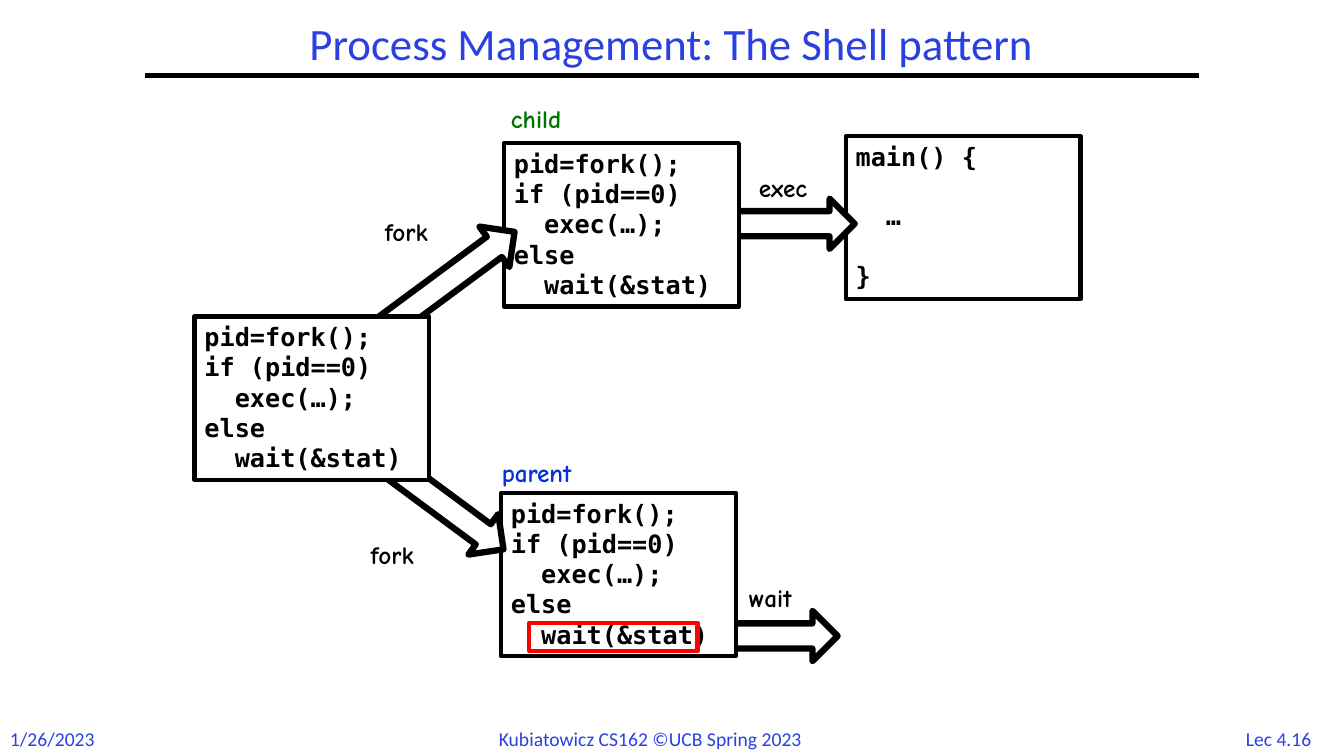
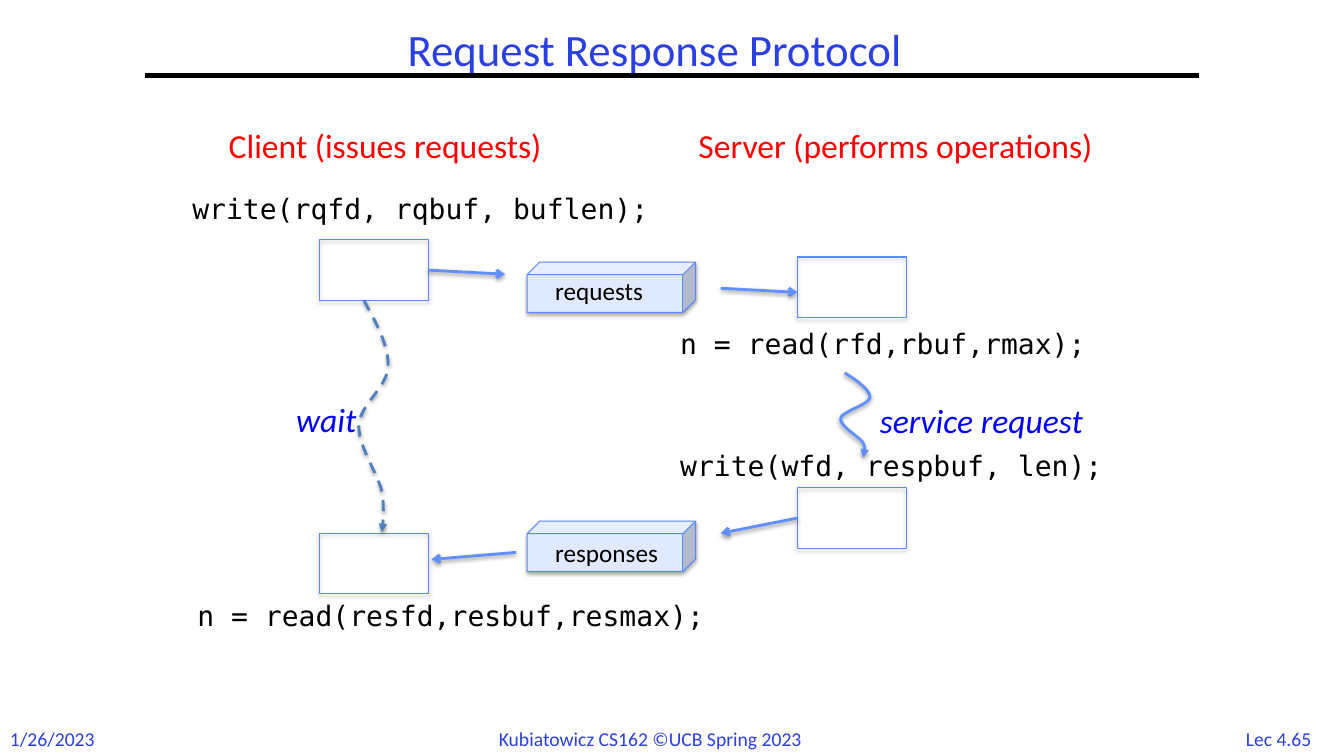
"""Build two lecture slides: the shell pattern and a request-response protocol."""
import dataclasses
import typing

import lxml.etree
import pptx
import pptx.dml.color
import pptx.enum.dml
import pptx.enum.shapes
import pptx.enum.text
import pptx.oxml.ns
import pptx.util

CELL = pptx.util.Inches(0.1)
COLS, ROWS = 133.33, 75
HUES = {
    "title": "2A40E2", "black": "000000", "white": "FFFFFF", "red": "FF0000",
    "green": "007600", "blue": "0330D8", "verb": "0000FF", "edge": "5B8AFB",
    "flow": "618FFD", "wait": "4F81BD", "cube": "DFE9FF",
}
KIND = pptx.enum.shapes.MSO_SHAPE
ALIGN = pptx.enum.text.PP_ALIGN
Point = tuple[float, float]


@dataclasses.dataclass(frozen=True)
class Style:
    font: str
    size: float
    hue: str
    bold: bool = False
    slant: bool = False


@dataclasses.dataclass(frozen=True)
class Label:
    text: str
    left: float
    top: float
    wide: float
    style: Style
    align: typing.Any = ALIGN.LEFT


@dataclasses.dataclass(frozen=True)
class Block:
    left: float
    top: float
    wide: float
    high: float
    kind: typing.Any = KIND.RECTANGLE
    fill: str | None = "white"
    edge: str = "black"
    line: float = 3
    turn: float = 0
    shade: int = 0
    text: str = ""
    gap: float = 0


@dataclasses.dataclass(frozen=True)
class Flow:
    start: Point
    stop: Point
    joint: int | None = None


@dataclasses.dataclass(frozen=True)
class Curve:
    start: Point
    bends: tuple[tuple[Point, Point, Point], ...]
    hue: str
    dash: bool = False


HEAD = Style("Calibri", 32, "title")
FOOT = Style("Calibri", 14, "title")
SIDE = Style("Calibri", 24, "red")
VERB = Style("Calibri", 24, "verb", slant=True)
CARGO = Style("Calibri", 18, "black")
CALL = Style("DejaVu Sans Mono", 20, "black")
CODE = Style("DejaVu Sans Mono", 18, "black", bold=True)
NOTE = Style("Comic Neue", 18, "black", bold=True)
CHILD = dataclasses.replace(NOTE, hue="green")
PARENT = dataclasses.replace(NOTE, hue="blue")

FORK = "pid=fork();\nif (pid==0)\n  exec(…);\nelse\n  wait(&stat)"


def fork(left: float, top: float) -> Block:
    return Block(left, top, 23.3, 16.2, text=FORK)


def arrow(left: float, top: float, wide: float, turn: float = 0) -> Block:
    return Block(left, top, wide, 5, KIND.RIGHT_ARROW, line=4.5, turn=turn)


def frame(left: float, top: float) -> Block:
    return Block(left, top, 10.8, 6, fill=None, edge="edge", line=0.75, shade=35)


def cube(top: float) -> Block:
    return Block(52.3, top, 16.7, 5, KIND.CUBE, "cube", "edge", 0.75, shade=35)


SHELL = [
    arrow(71.4, 60.6, 11.7),
    Block(83.9, 13.5, 23.3, 16.2, fill=None, text="main() {\n  …\n}", gap=21),
    arrow(73.1, 19.7, 11.7),
    fork(49.7, 48.9),
    Block(52.5, 61.8, 16.7, 2.8, fill=None, edge="red"),
    fork(50, 14.2),
    arrow(36.8, 25.2, 15.8, 323.5),
    arrow(35.7, 47.3, 15.8, 36.5),
    fork(19.3, 31.4),
]
NOTES = [
    Label("child", 49.7, 9.8, 9, CHILD),
    Label("parent", 48.8, 44.9, 11, PARENT),
    Label("fork", 37.2, 21, 9, NOTE),
    Label("fork", 35.8, 53, 9, NOTE),
    Label("wait", 73.3, 57.3, 9, NOTE),
    Label("exec", 74.3, 16.6, 9, NOTE),
]
ASK, TAKE, GIVE, GET = (
    frame(31.7, 23.8), frame(79.1, 25.5), frame(79.1, 48.4), frame(31.7, 52.9))
CUBES = [cube(26), cube(51.7)]
FLOWS = {
    ASK: Flow((42.5, 26.8), (50.1, 27.2), 3),
    TAKE: Flow((71.5, 28.6), (79.1, 29)),
    GIVE: Flow((79.1, 51.4), (71.5, 52.9), 1),
    GET: Flow((51.2, 54.8), (42.8, 55.5)),
}
CURVES = [
    Curve((83.8, 37), (
        ((85.1, 37.8), (86.3, 38.7), (86.3, 39.4)),
        ((86.2, 40.2), (83.5, 40.8), (83.4, 41.5)),
        ((83.3, 42.3), (85.2, 43.3), (85.6, 43.9)),
        ((86, 44.6), (85.6, 45.4), (85.6, 45.4))), "flow"),
    Curve((36.1, 29.8), (
        ((37.3, 32), (38.6, 34.3), (38.5, 36.4)),
        ((38.4, 38.5), (35.7, 40.1), (35.6, 42.2)),
        ((35.5, 44.2), (37.5, 47), (37.9, 48.8)),
        ((38.2, 50.6), (37.9, 52.8), (37.9, 52.8))), "wait", True),
]
WORDS = [
    Label("Client (issues requests)", 21.7, 11.9, 37.2, SIDE),
    Label("Server (performs operations)", 68.3, 11.9, 45.1, SIDE),
    Label("write(rqfd, rqbuf, buflen);", 18.1, 18.5, 54, CALL),
    Label("n = read(rfd,rbuf,rmax);", 66.5, 31.9, 54, CALL),
    Label("write(wfd, respbuf, len);", 66.5, 44, 54, CALL),
    Label("n = read(resfd,resbuf,resmax);", 18.6, 58.9, 56, CALL),
    Label("requests", 54.1, 26.8, 13, CARGO),
    Label("responses", 54.1, 52.8, 14, CARGO),
    Label("service request", 86.3, 39.2, 25, VERB),
    Label("wait", 28.4, 39.1, 9, VERB),
]


def cells(*sizes: float) -> list[pptx.util.Emu]:
    return [pptx.util.Emu(round(size * CELL)) for size in sizes]


def paint(hue: str) -> pptx.dml.color.RGBColor:
    return pptx.dml.color.RGBColor.from_string(HUES[hue])


def child(root: typing.Any, tag: str, **facts: typing.Any) -> typing.Any:
    facts = {key: str(fact) for key, fact in facts.items()}
    return lxml.etree.SubElement(root, pptx.oxml.ns.qn(tag), facts)


def shade(item: typing.Any, alpha: int, far: float = 1.8) -> None:
    effect = child(item.element.spPr, "a:effectLst")
    if alpha:
        outer = child(effect, "a:outerShdw", blurRad=pptx.util.Pt(3.1),
                      dist=pptx.util.Pt(far), dir=90 * 60000, rotWithShape=0)
        black = child(outer, "a:srgbClr", val=HUES["black"])
        child(black, "a:alpha", val=alpha * 1000)


def stroke(item: typing.Any, hue: str, width: float) -> None:
    item.line.color.rgb = paint(hue)
    item.line.width = pptx.util.Pt(width)


def write(frame: typing.Any, text: str, style: Style,
          align: typing.Any = ALIGN.LEFT, gap: float = 0) -> None:
    frame.word_wrap = True
    frame.text = text
    for row, para in enumerate(frame.paragraphs):
        para.alignment = align
        if gap and row:
            para.space_before = pptx.util.Pt(gap)
        font = para.font
        font.name, font.size = style.font, pptx.util.Pt(style.size)
        font.bold, font.italic = style.bold, style.slant
        font.color.rgb = paint(style.hue)


def label(slide: typing.Any, part: Label) -> typing.Any:
    high = part.style.size / 6 + 1
    box = slide.shapes.add_textbox(*cells(part.left, part.top, part.wide, high))
    write(box.text_frame, part.text, part.style, part.align)
    return box


def block(slide: typing.Any, part: Block) -> typing.Any:
    item = slide.shapes.add_shape(
        part.kind, *cells(part.left, part.top, part.wide, part.high))
    item.rotation = part.turn
    if part.fill:
        item.fill.solid()
        item.fill.fore_color.rgb = paint(part.fill)
    else:
        item.fill.background()
    stroke(item, part.edge, part.line)
    shade(item, part.shade)
    if part.text:
        item.text_frame.vertical_anchor = pptx.enum.text.MSO_ANCHOR.TOP
        write(item.text_frame, part.text, CODE, gap=part.gap)
    return item


def line(slide: typing.Any, start: Point, stop: Point, hue: str,
         width: float) -> typing.Any:
    item = slide.shapes.add_connector(
        pptx.enum.shapes.MSO_CONNECTOR.STRAIGHT, *cells(*start, *stop))
    stroke(item, hue, width)
    return item


def flow(slide: typing.Any, part: Flow, box: typing.Any) -> None:
    item = line(slide, part.start, part.stop, "flow", 2)
    if part.joint is not None:
        item.begin_connect(box, part.joint)
    child(item.line._get_or_add_ln(), "a:tailEnd", type="arrow")
    shade(item, 38, 1.6)


def curve(slide: typing.Any, part: Curve, steps: int = 12) -> None:
    dots, last = [], part.start
    for one, two, end in part.bends:
        for step in range(1, steps + 1):
            t = step / steps
            u = 1 - t
            dots.append(cells(*(
                u**3 * a + 3 * u * u * t * b + 3 * u * t * t * c + t**3 * d
                for a, b, c, d in zip(last, one, two, end))))
        last = end
    pen = slide.shapes.build_freeform(*cells(*part.start))
    pen.add_line_segments(dots, close=False)
    item = pen.convert_to_shape()
    item.fill.background()
    stroke(item, part.hue, 2)
    if part.dash:
        item.line.dash_style = pptx.enum.dml.MSO_LINE.DASH
    child(item.line._get_or_add_ln(), "a:tailEnd", type="triangle")
    shade(item, 38, 1.6)


def dress(layout: typing.Any, slide: typing.Any) -> None:
    rule = line(slide, (14.4, 7.5), (118.9, 7.5), "black", 3)
    shade(rule, 0)
    date = label(slide, Label("1/26/2023", 0, 71.6, 12, FOOT))
    course = label(slide, Label(
        "Kubiatowicz CS162 ©UCB Spring 2023", 48.5, 71.6, 36.3, FOOT))
    for mark, item in enumerate((rule, date, course), 101):
        name = next(item.element.iter(pptx.oxml.ns.qn("p:cNvPr")))
        name.set("id", str(mark))
        layout.shapes.element.append(item.element)


def start(deck: typing.Any, title: str, place: tuple[float, ...],
          page: str) -> typing.Any:
    slide = deck.slides.add_slide(deck.slide_layouts[5])
    head = slide.shapes.title
    head.left, head.top, head.width, head.height = cells(*place)
    write(head.text_frame, title, HEAD, ALIGN.CENTER)
    head.text_frame.vertical_anchor = pptx.enum.text.MSO_ANCHOR.MIDDLE
    head.text_frame.paragraphs[0].line_spacing = 0.9
    label(slide, Label(page, 122, 71.6, 9.7, FOOT, ALIGN.CENTER))
    return slide


def main() -> None:
    deck = pptx.Presentation()
    deck.slide_width, deck.slide_height = cells(COLS, ROWS)
    shell = start(deck, "Process Management: The Shell pattern",
                  (14.4, 1.7, 104.4, 5.8), "Lec 4.16")
    dress(deck.slide_layouts[5], shell)
    for part in SHELL:
        block(shell, part)
    for part in NOTES:
        label(shell, part)

    talk = start(deck, "Request Response Protocol",
                 (21.7, 0.4, 86.5, 9.6), "Lec 4.65")
    for part in CUBES:
        block(talk, part)
    for part, link in FLOWS.items():
        flow(talk, link, block(talk, part))
    for part in CURVES:
        curve(talk, part)
    for part in WORDS:
        label(talk, part)
    deck.save("out.pptx")


if __name__ == "__main__":
    main()
